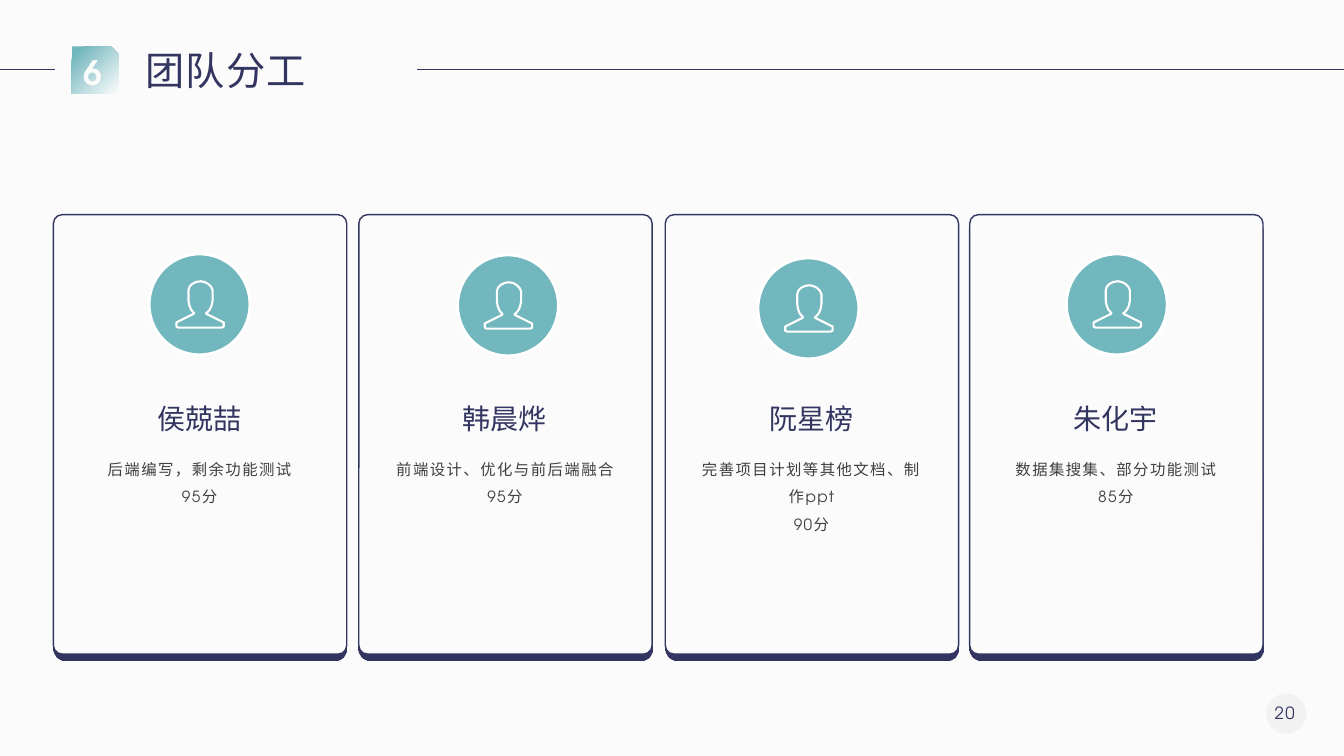
from lxml.etree import SubElement
from pptx import Presentation
from pptx.dml.color import RGBColor
from pptx.enum.shapes import MSO_CONNECTOR, MSO_SHAPE
from pptx.enum.text import MSO_ANCHOR, MSO_AUTO_SIZE, PP_ALIGN
from pptx.oxml.ns import qn
from pptx.util import Pt

SCALE = 9144
NAVY, TEAL, PAPER, WHITE, GREY = "333561", "72B7BE", "FBFBFB", "FFFFFF", "3F3F3F"
LATIN, CHINESE = "TeX Gyre Adventor", "Noto Sans CJK SC"
CARD_TOP, CARD_WIDTH, CARD_HEIGHT = 213, 291, 436
MEMBERS = [
    (53, "侯兢喆", "后端编写，剩余功能测试", "95分", 62, 148, 252),
    (356, "韩晨烨", "前端设计、优化与前后端融合", "95分", 62, 454, 253),
    (660, "阮星榜", "完善项目计划等其他文档、制作ppt", "90分", 90, 752, 256),
    (962, "朱化宇", "数据集搜集、部分功能测试", "85分", 62, 1058, 252),
]
SHOULDERS = [
    [(45, 59)], [(27, 68)], [(27, 72)], [(27, 72), (28, 73), (29, 73)],
    [(72, 73)], [(73, 73), (74, 72), (74, 72)], [(74, 68)], [(74, 68)], [(56, 59)],
]
HEAD = [
    [(56, 59)], [(63, 55), (63, 45), (63, 45)], [(63, 36)],
    [(62, 31), (56, 27), (51, 27)], [(51, 27)], [(45, 27), (39, 31), (39, 36)],
    [(39, 45)], [(39, 45), (39, 55), (45, 59)],
]


def px(value):
    """Turn pixels, a hundred to the inch, into EMU."""
    return round(value * SCALE)


def color(value):
    """Turn a hex string into a colour."""
    return RGBColor.from_string(value)


def set_alpha(box, percent):
    """Make the first colour of a shape partly transparent."""
    first = next(box._element.iter(qn("a:srgbClr")))
    SubElement(first, qn("a:alpha")).set("val", str(percent * 1000))


def add_box(page, kind, left, top, width, height, fill=None, line=None, weight=1):
    """Add a preset shape with a plain fill and outline."""
    box = page.shapes.add_shape(kind, px(left), px(top), px(width), px(height))
    box.shadow.inherit = False
    if fill:
        box.fill.solid()
        box.fill.fore_color.rgb = color(fill)
    if line:
        box.line.color.rgb = color(line)
        box.line.width = Pt(weight)
    else:
        box.line.fill.background()
    return box


def set_gradient(box, stops, angle):
    """Give a shape a two-stop linear gradient."""
    box.fill.gradient()
    box.fill.gradient_angle = angle
    for stop, (position, value) in zip(box.fill.gradient_stops, stops):
        stop.position = position
        stop.color.rgb = color(value)


def add_rule(page, start, end):
    """Add a horizontal line beside the title."""
    rule = page.shapes.add_connector(MSO_CONNECTOR.STRAIGHT, px(start), px(69), px(end), px(69))
    rule.line.color.rgb = color(NAVY)
    rule.line.width = Pt(1)
    SubElement(rule._element.spPr, qn("a:effectLst"))


def write(para, text, size, value, font=LATIN, spacing=0, bold=False, align=PP_ALIGN.CENTER):
    """Add one formatted run to a paragraph."""
    para.alignment = align
    span = para.add_run()
    span.text = text
    span.font.size = Pt(size)
    span.font.bold = bold
    span.font.color.rgb = color(value)
    span.font.name = font
    properties = span._r.get_or_add_rPr()
    properties.set("spc", str(spacing * 100))
    SubElement(properties, qn("a:ea")).set("typeface", CHINESE)


def add_text_box(page, left, top, width, height, wrap=True):
    """Add an empty text box and return its frame."""
    box = page.shapes.add_textbox(px(left), px(top), px(width), px(height))
    box.text_frame.word_wrap = wrap
    box.text_frame.auto_size = MSO_AUTO_SIZE.SHAPE_TO_FIT_TEXT
    return box.text_frame


def bend(outline):
    """Join each three line ends of an outline into one cubic curve."""
    ends = list(outline._element.iter(qn("a:lnTo")))
    parent = ends[0].getparent()
    for index in range(0, len(ends), 3):
        curve = SubElement(parent, qn("a:cubicBezTo"))
        for end in ends[index:index + 3]:
            curve.append(end[0])
            parent.remove(end)


def add_person(page, left, top):
    """Add a round badge with an outlined person."""
    add_box(page, MSO_SHAPE.OVAL, left, top, 100, 100, TEAL, WHITE, 2)
    person = page.shapes.add_group_shape()
    for segments in (SHOULDERS, HEAD):
        corners = segments[0] + [
            corner for segment in segments[1:]
            for corner in (segment if len(segment) == 3 else segment * 3)
        ]
        points = [(px(left + x), px(top + y)) for x, y in corners]
        builder = person.shapes.build_freeform(*points[0], scale=1.0)
        builder.add_line_segments(points[1:], close=False)
        outline = builder.convert_to_shape()
        bend(outline)
        outline.shadow.inherit = False
        outline.fill.background()
        outline.line.color.rgb = color(WHITE)
        outline.line.width = Pt(1.5)


def add_card(page, left, name, duty, score, duty_height):
    """Add a member card with a thick lower edge."""
    edge = add_box(page, MSO_SHAPE.ROUNDED_RECTANGLE, left, CARD_TOP + 6, CARD_WIDTH, CARD_HEIGHT)
    edge.adjustments[0] = 0.04
    set_gradient(edge, [(0, NAVY), (1, NAVY)], 270)
    set_alpha(edge, 70)
    face = add_box(page, MSO_SHAPE.ROUNDED_RECTANGLE, left, CARD_TOP, CARD_WIDTH, CARD_HEIGHT, PAPER, NAVY)
    face.adjustments[0] = 0.03
    name_frame = add_text_box(page, left + 93, 393, 104, 44, wrap=False)
    write(name_frame.paragraphs[0], name, 20, NAVY, CHINESE)
    duty_frame = add_text_box(page, left + 24, 442, 242, duty_height)
    for para, text in ((duty_frame.paragraphs[0], duty), (duty_frame.add_paragraph(), score)):
        para.line_spacing = 1.5
        write(para, text, 11, GREY, spacing=1)


def add_heading(page):
    """Fill the title and add its number and rules."""
    title = page.shapes.title
    title.left, title.top, title.width, title.height = px(134), px(41), px(240), px(57)
    title.text_frame.vertical_anchor = MSO_ANCHOR.MIDDLE
    title.text_frame.auto_size = MSO_AUTO_SIZE.SHAPE_TO_FIT_TEXT
    write(title.text_frame.paragraphs[0], "团队分工", 28, NAVY, CHINESE, 1, align=PP_ALIGN.JUSTIFY)
    add_rule(page, 414, 1333)
    add_rule(page, 0, 55)
    badge = add_box(page, MSO_SHAPE.SNIP_1_RECTANGLE, 71, 46, 47, 47)
    set_gradient(badge, [(0.11, TEAL), (0.99, PAPER)], 315)
    badge.text_frame.vertical_anchor = MSO_ANCHOR.MIDDLE
    write(badge.text_frame.paragraphs[0], "6", 24, PAPER, bold=True)


def add_page_number(page):
    """Add the page number on a pale disc."""
    disc = add_box(page, MSO_SHAPE.OVAL, 1256, 688, 40, 40, "A6A6A6")
    set_alpha(disc, 10)
    frame = add_text_box(page, 1247, 692, 55, 30)
    frame.vertical_anchor = MSO_ANCHOR.MIDDLE
    write(frame.paragraphs[0], "20", 12, NAVY, spacing=1)


def main():
    """Build and save the slide."""
    deck = Presentation()
    deck.slide_width, deck.slide_height = px(1333.33), px(750)
    page = deck.slides.add_slide(deck.slide_layouts[5])
    page.background.fill.solid()
    page.background.fill.fore_color.rgb = color(PAPER)
    add_page_number(page)
    add_heading(page)
    for left, name, duty, score, duty_height, person_left, person_top in MEMBERS:
        add_card(page, left, name, duty, score, duty_height)
        add_person(page, person_left, person_top)
    deck.save("out.pptx")


if __name__ == "__main__":
    main()
